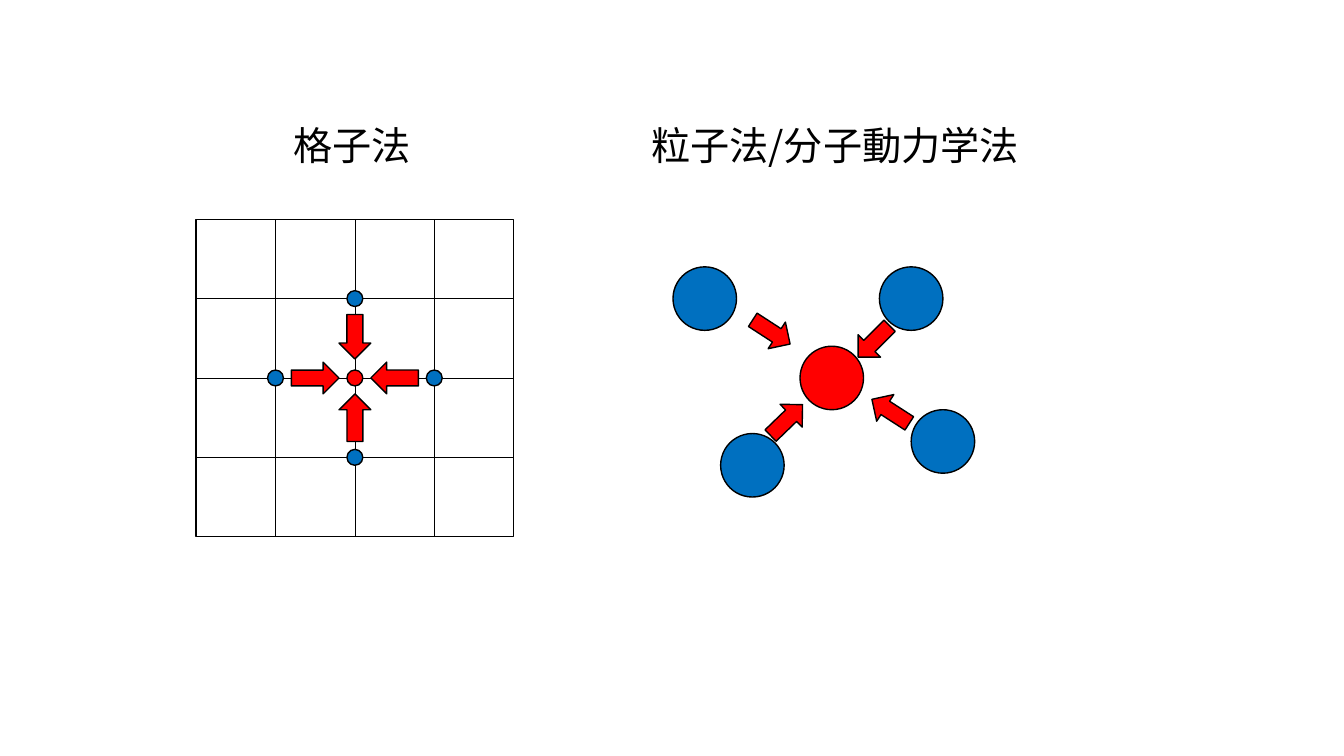
import math

import pptx
import pptx.util
import pptx.dml.color
import pptx.enum.shapes
import pptx.oxml.ns
import lxml.etree

Inches, Pt = pptx.util.Inches, pptx.util.Pt
RGBColor = pptx.dml.color.RGBColor
MSO_SHAPE = pptx.enum.shapes.MSO_SHAPE
qn = pptx.oxml.ns.qn

BLACK = RGBColor(0x00, 0x00, 0x00)
RED = RGBColor(0xFF, 0x00, 0x00)
BLUE = RGBColor(0x00, 0x70, 0xC0)
FONT = "Noto Sans CJK JP"

prs = pptx.Presentation()
prs.slide_width, prs.slide_height = Inches(13.33), Inches(7.5)
shapes = prs.slides.add_slide(prs.slide_layouts[6]).shapes

# Both diagrams are measured in lattice cells from their central particle
N = 4
SIDE = 3.15
CELL = SIDE / N
MID_Y = 3.75
GRID_X, PARTICLE_X = 3.52, 8.25
LEFT, TOP = GRID_X - SIDE / 2, MID_Y - SIDE / 2


def add_centred(kind, origin_x, col, row, w, h, fill=None, rotation=0):
    """Place an outlined shape by its centre; all lengths are in cells."""
    sp = shapes.add_shape(
        kind,
        Inches(origin_x + (col - w / 2) * CELL),
        Inches(MID_Y + (row - h / 2) * CELL),
        Inches(w * CELL), Inches(h * CELL))
    sp.rotation = rotation
    sp.shadow.inherit = False
    if fill is None:
        sp.fill.background()
    else:
        sp.fill.solid()
        sp.fill.fore_color.rgb = fill
    sp.line.color.rgb = BLACK
    sp.line.width = Pt(1)
    return sp


# Lattice: frame and inner lines
frame = add_centred(MSO_SHAPE.RECTANGLE, GRID_X, 0, 0, N, N)
for i in range(1, N):
    x, y = LEFT + i * CELL, TOP + i * CELL
    for ends, sites in (((x, TOP, x, TOP + SIDE), (0, 2)),
                        ((LEFT + SIDE, y, LEFT, y), (3, 1))):
        line = shapes.add_connector(
            pptx.enum.shapes.MSO_CONNECTOR.STRAIGHT, *map(Inches, ends))
        if i == N / 2:
            line.begin_connect(frame, sites[0])
            line.end_connect(frame, sites[1])
        line.line.color.rgb = BLACK
        line.line.width = Pt(0.5)
        lxml.etree.SubElement(line._element.spPr, qn("a:effectLst"))

# Lattice points and the arrows pointing at the centre
add_centred(MSO_SHAPE.OVAL, GRID_X, 0, 0, 0.2, 0.2, RED)
for angle, distance, length in ((0, 0.52, 0.56), (90, 0.5, 0.6),
                                (180, 0.5, 0.6), (270, 0.5, 0.6)):
    dx, dy = math.sin(math.radians(angle)), -math.cos(math.radians(angle))
    add_centred(MSO_SHAPE.OVAL, GRID_X, dx, dy, 0.2, 0.2, BLUE)
    add_centred(MSO_SHAPE.DOWN_ARROW, GRID_X, dx * distance, dy * distance,
                0.4, length, RED, angle)

# Free particles: centre of each neighbour, then centre and turn of its arrow
NEIGHBOURS = (
    ((1, -1), (0.53, -0.46), 45.1),
    ((1.4, 0.8), (0.74, 0.42), 122.8),
    ((-1, 1.1), (-0.57, 0.53), 226),
    ((-1.6, -1), (-0.76, -0.58), 303),
)
add_centred(MSO_SHAPE.OVAL, PARTICLE_X, 0, 0, 0.8, 0.8, RED)
for particle, _, _ in NEIGHBOURS:
    add_centred(MSO_SHAPE.OVAL, PARTICLE_X, *particle, 0.8, 0.8, BLUE)
for _, arrow, angle in NEIGHBOURS:
    add_centred(MSO_SHAPE.DOWN_ARROW, PARTICLE_X, *arrow, 0.4, 0.56, RED, angle)

# Headings
for text, x, width in (("格子法", 2.81, 1.38),
                       ("粒子法/分子動力学法", 6.36, 3.93)):
    tf = shapes.add_textbox(Inches(x), Inches(1.15),
                            Inches(width), Inches(0.57)).text_frame
    tf.word_wrap = True
    p = tf.paragraphs[0]
    r = p.add_run()
    r.text = text
    r.font.size = Pt(28)
    r.font.name = FONT
    r.font.color.rgb = BLACK
    lxml.etree.SubElement(r.font._element, qn("a:ea"), typeface=FONT)

prs.save("out.pptx")
